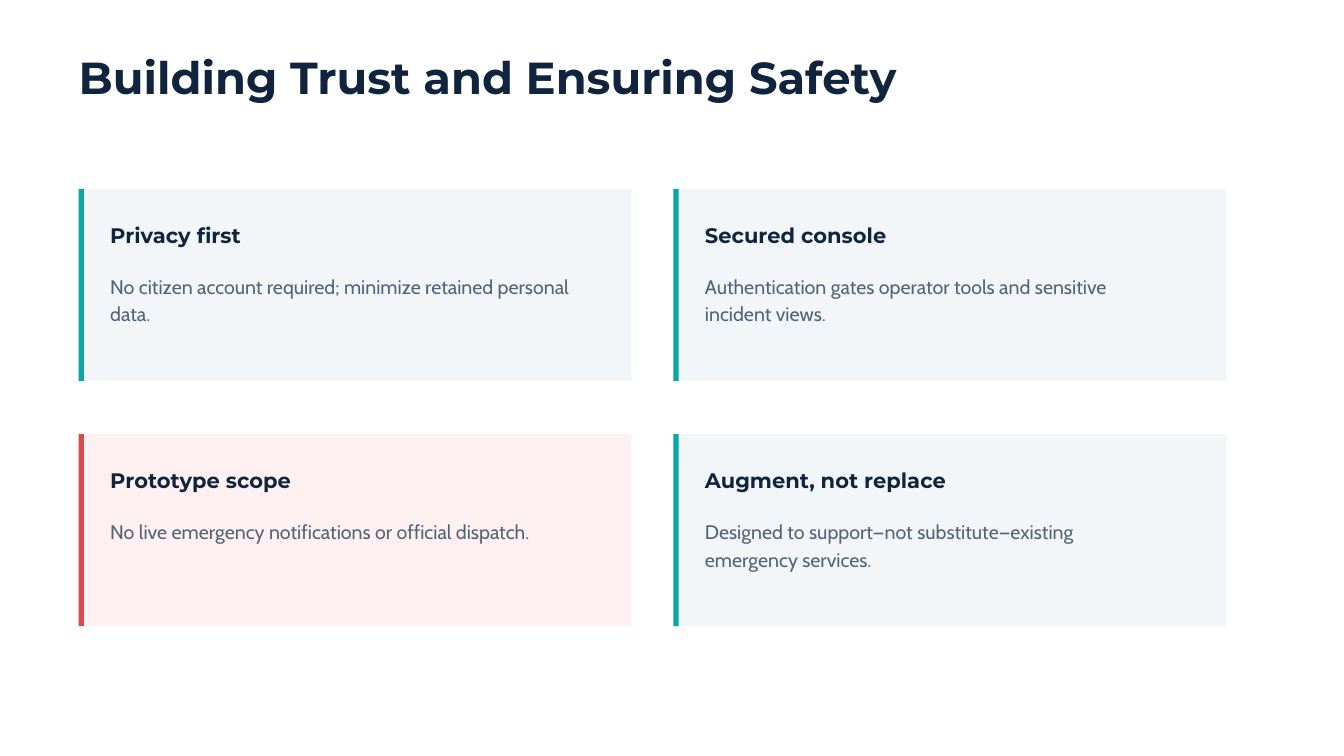
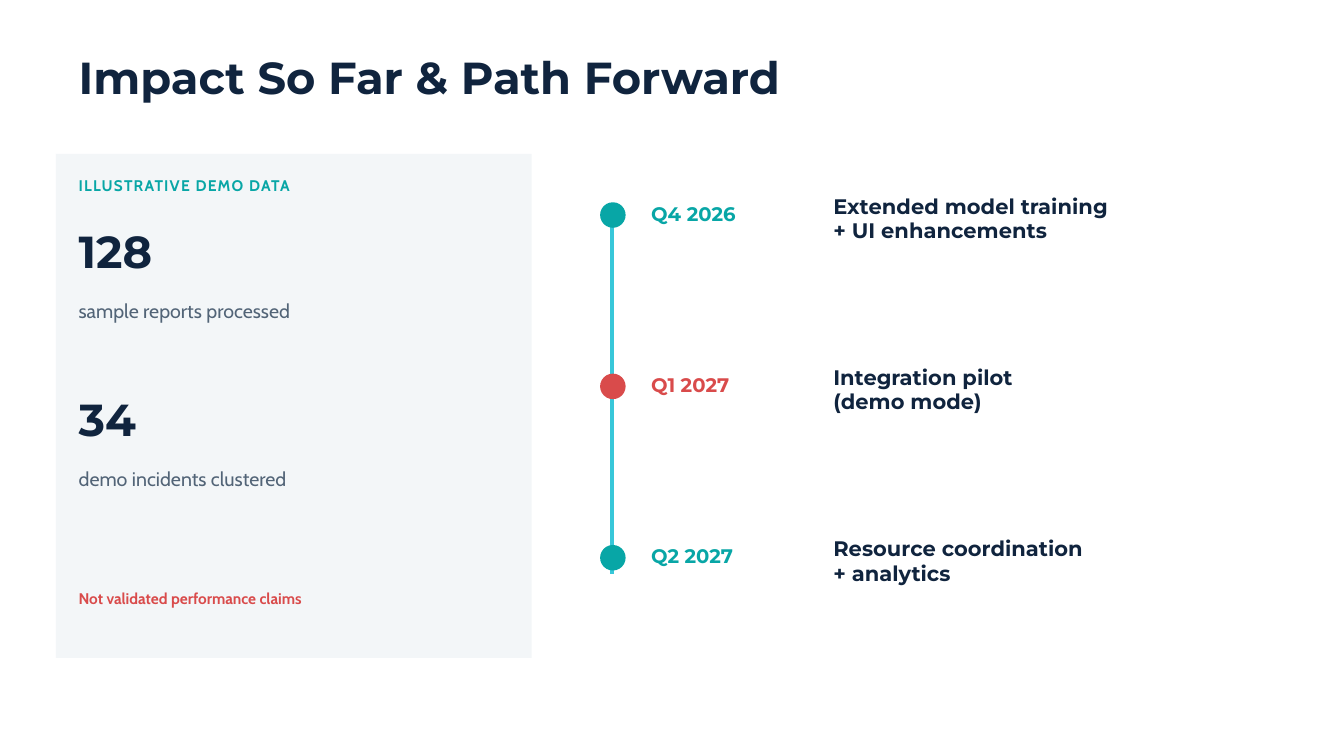
"""Build the trust and roadmap slides."""
import dataclasses

import lxml.etree
import pptx
import pptx.dml.color
import pptx.enum.shapes
import pptx.enum.text
import pptx.oxml.ns
import pptx.util

Inches = pptx.util.Inches
SHAPE = pptx.enum.shapes.MSO_SHAPE


@dataclasses.dataclass(frozen=True)
class TextStyle:
    """Type settings for one kind of text."""
    font: str
    size: float
    leading: float
    color: str
    bold: bool = False
    tracking: float = 0

    def tinted(self, color):
        """Return the same style in another colour."""
        return dataclasses.replace(self, color=color)


class Theme:
    """Colours and text styles shared by the slides."""
    navy, slate = "10243E", "526477"
    teal, red, cyan = "08A6A6", "D94B4B", "38C7D9"
    panel, alert_panel = "F3F6F8", "FFF1F1"
    headline = TextStyle("Montserrat", 48, 51.8, navy, True)
    heading = TextStyle("Montserrat", 22.5, 25.9, navy, True)
    quarter = TextStyle("Montserrat", 21, 29.4, teal, True)
    body = TextStyle("Cabin", 21, 29.8, slate)
    note = TextStyle("Cabin", 16.5, 23.1, red, True)
    kicker = TextStyle("Cabin", 16.5, 23.1, teal, True, 1.3)


def rgb(color):
    """Turn a hex string into a colour."""
    return pptx.dml.color.RGBColor.from_string(color)


def write(frame, lines, style):
    """Fill a text frame with one paragraph per line."""
    frame.margin_left = frame.margin_right = 0
    frame.margin_top = frame.margin_bottom = 0
    frame.word_wrap = True
    frame.auto_size = pptx.enum.text.MSO_AUTO_SIZE.NONE
    frame.vertical_anchor = pptx.enum.text.MSO_ANCHOR.TOP
    for index, line in enumerate(lines):
        paragraph = frame.add_paragraph() if index else frame.paragraphs[0]
        paragraph.alignment = pptx.enum.text.PP_ALIGN.LEFT
        paragraph.line_spacing = pptx.util.Pt(style.leading)
        paragraph.space_before = pptx.util.Pt(0)
        run = paragraph.add_run()
        run.text = line
        run.font.name = style.font
        run.font.size = pptx.util.Pt(style.size)
        run.font.bold = style.bold
        run.font.color.rgb = rgb(style.color)
        if style.tracking:
            run._r.get_or_add_rPr().set("spc", str(round(style.tracking * 100)))


def add_text(shapes, left, top, width, height, style, *lines):
    """Add a text box without margins."""
    box = shapes.add_textbox(Inches(left), Inches(top), Inches(width), Inches(height))
    write(box.text_frame, lines, style)


def add_block(shapes, left, top, width, height, color, preset=SHAPE.RECTANGLE):
    """Add a filled shape without outline or shadow."""
    block = shapes.add_shape(preset, Inches(left), Inches(top), Inches(width), Inches(height))
    block.shadow.inherit = False
    block.fill.solid()
    block.fill.fore_color.rgb = rgb(color)
    block.line.fill.background()


def add_titled_slide(deck, title):
    """Add a title-only slide with the shared title style."""
    slide = deck.slides.add_slide(deck.slide_layouts[5])
    headline = slide.shapes.title
    headline.left, headline.top = Inches(1.17), Inches(0.82)
    headline.width, headline.height = Inches(15.62), Inches(0.73)
    write(headline.text_frame, [title], Theme.headline)
    return slide


def add_card(slide, left, top, heading, body, accent, panel):
    """Add a card with an accent bar, a heading and a sentence."""
    card = slide.shapes.add_group_shape().shapes
    add_block(card, left, top, 8.23, 2.86, panel)
    add_block(card, left, top, 0.08, 2.86, accent)
    add_text(card, left + 0.47, top + 0.51, 6.77, 0.36, Theme.heading, heading)
    add_text(card, left + 0.47, top + 1.21, 6.88, 0.79, Theme.body, body)


def add_metric(slide, top, value, label):
    """Add a large figure with its label below."""
    add_text(slide.shapes, 1.17, top, 3.12, 0.73, Theme.headline, value)
    add_text(slide.shapes, 1.17, top + 0.97, 5.21, 0.39, Theme.body, label)


def add_timeline_axis(slide, x, top, bottom):
    """Add the vertical line that carries the milestones."""
    axis = slide.shapes.add_connector(
        pptx.enum.shapes.MSO_CONNECTOR.STRAIGHT,
        Inches(x), Inches(top), Inches(x), Inches(bottom))
    axis.line.color.rgb = rgb(Theme.cyan)
    axis.line.width = pptx.util.Pt(3.75)
    lxml.etree.SubElement(axis._element.spPr, pptx.oxml.ns.qn("a:effectLst"))


def add_milestone(slide, top, quarter, goal, color):
    """Add a dot, its quarter and its two-line goal."""
    milestone = slide.shapes.add_group_shape().shapes
    add_block(milestone, 8.93, top + 0.12, 0.38, 0.38, color, SHAPE.OVAL)
    add_text(milestone, 9.69, top + 0.05, 2.29, 0.38, Theme.quarter.tinted(color), quarter)
    add_text(milestone, 12.4, top, 5.42, 0.72, Theme.heading, *goal)


def build_trust_slide(deck):
    """Build the two-by-two grid of safety principles."""
    slide = add_titled_slide(deck, "Building Trust and Ensuring Safety")
    calm, alert = (Theme.teal, Theme.panel), (Theme.red, Theme.alert_panel)
    principles = [
        ("Privacy first",
         "No citizen account required; minimize retained personal data.", calm),
        ("Secured console",
         "Authentication gates operator tools and sensitive incident views.", calm),
        ("Prototype scope",
         "No live emergency notifications or official dispatch.", alert),
        ("Augment, not replace",
         "Designed to support—not substitute—existing emergency services.", calm),
    ]
    for index, (heading, body, colors) in enumerate(principles):
        row, column = divmod(index, 2)
        add_card(slide, 1.17 + 8.85 * column, 2.81 + 3.65 * row, heading, body, *colors)


def build_impact_slide(deck):
    """Build the demo figures and the roadmap."""
    slide = add_titled_slide(deck, "Impact So Far & Path Forward")
    add_block(slide.shapes, 0.83, 2.29, 7.08, 7.5, Theme.panel)
    add_text(slide.shapes, 1.17, 2.57, 6.25, 0.3, Theme.kicker, "ILLUSTRATIVE DEMO DATA")
    add_metric(slide, 3.41, "128", "sample reports processed")
    add_metric(slide, 5.91, "34", "demo incidents clustered")
    add_text(slide.shapes, 1.17, 8.72, 6.25, 0.3, Theme.note,
             "Not validated performance claims")
    add_timeline_axis(slide, 9.11, 3.12, 8.54)
    milestones = [
        ("Q4 2026", ("Extended model training", "+ UI enhancements"), Theme.teal),
        ("Q1 2027", ("Integration pilot", "(demo mode)"), Theme.red),
        ("Q2 2027", ("Resource coordination", "+ analytics"), Theme.teal),
    ]
    for index, milestone in enumerate(milestones):
        add_milestone(slide, 2.89 + 2.55 * index, *milestone)


def main():
    """Create the deck and save it."""
    deck = pptx.Presentation()
    deck.slide_width, deck.slide_height = Inches(20), Inches(11.25)
    build_trust_slide(deck)
    build_impact_slide(deck)
    deck.save("out.pptx")


if __name__ == "__main__":
    main()
